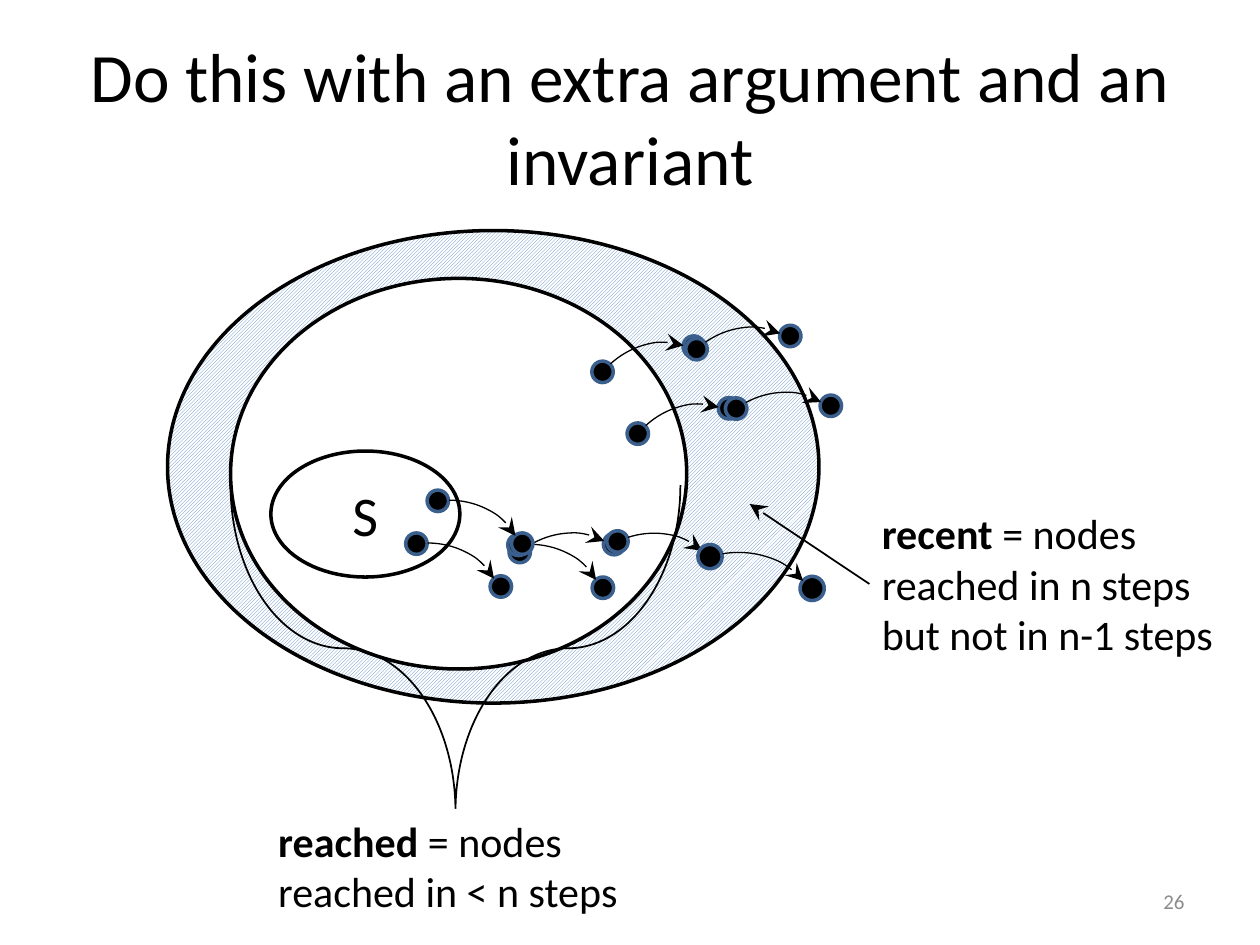
from typing import NamedTuple

from lxml import etree
from pptx import Presentation
from pptx.dml.color import RGBColor
from pptx.enum.dml import MSO_PATTERN
from pptx.enum.shapes import MSO_CONNECTOR, MSO_SHAPE
from pptx.enum.text import MSO_ANCHOR, MSO_AUTO_SIZE, PP_ALIGN
from pptx.oxml.ns import qn
from pptx.util import Inches, Pt

OVAL, ARC, BRACE = MSO_SHAPE.OVAL, MSO_SHAPE.ARC, MSO_SHAPE.RIGHT_BRACE
STRAIGHT = MSO_CONNECTOR.STRAIGHT
HATCH = MSO_PATTERN.LIGHT_UPWARD_DIAGONAL
LEFT, CENTER, RIGHT = PP_ALIGN.LEFT, PP_ALIGN.CENTER, PP_ALIGN.RIGHT
TOP, MIDDLE = MSO_ANCHOR.TOP, MSO_ANCHOR.MIDDLE
GROW = MSO_AUTO_SIZE.SHAPE_TO_FIT_TEXT

FONT = "Calibri"
COLORS = {"ink": "000000", "paper": "FFFFFF", "hatch": "4F81BD", "rim": "3A5F8C", "number": "8C8C8C"}


class Box(NamedTuple):
    left: float
    top: float
    width: float
    height: float


class Step(NamedTuple):
    left: float
    top: float
    angle: float = 0
    scale: float = 1


OUTER_STEPS = [
    Step(4.84, 3.15, 317.6),
    Step(3.85, 4.16, 328.3),
    Step(3.62, 4.24),
    Step(4.54, 4.15, 342),
    Step(4.56, 2.66, 317.6),
    Step(5.27, 2.53, 325.1),
    Step(5.55, 3.04, 331.4),
    Step(5.16, 4.29, 350.4, 1.13),
]
START_STEPS = [Step(2.98, 3.89), Step(2.81, 4.23)]


def color(name: str) -> RGBColor:
    return RGBColor.from_string(COLORS[name])


def add_outline(shapes, kind, box: Box, fill=None, line="ink", weight=2.0):
    shape = shapes.add_shape(kind, *map(Inches, box))
    shape.shadow.inherit = False
    if fill:
        shape.fill.solid()
        shape.fill.fore_color.rgb = color(fill)
    else:
        shape.fill.background()
    shape.line.color.rgb = color(line)
    shape.line.width = Pt(weight)
    return shape


def add_arrowhead(shape) -> None:
    outline = shape._element.spPr.find(qn("a:ln"))
    etree.SubElement(outline, qn("a:tailEnd"), type="stealth", w="lg", len="lg")


def write(shape, *parts: str, size=24.0, ink="ink", align=LEFT, anchor=TOP, bold_first=False):
    frame = shape.text_frame
    frame.word_wrap = True
    frame.vertical_anchor = anchor
    paragraph = frame.paragraphs[0]
    paragraph.alignment = align
    for index, part in enumerate(parts):
        run = paragraph.add_run()
        run.text = part
        run.font.name = FONT
        run.font.size = Pt(size)
        run.font.bold = bold_first and index == 0
        run.font.color.rgb = color(ink)
    return shape


def add_label(shapes, box: Box, *parts: str):
    label = write(shapes.add_textbox(*map(Inches, box)), *parts, bold_first=True)
    label.fill.solid()
    label.fill.fore_color.rgb = color("paper")
    label.text_frame.auto_size = GROW
    return label


def add_step(shapes, step: Step) -> None:
    def place(x: float, y: float, width: float, height: float) -> Box:
        k = step.scale
        return Box(step.left + x * k, step.top + y * k, width * k, height * k)

    group = shapes.add_group_shape()
    for x, y in ((0.41, 0), (1.08, 0.34)):
        add_outline(group.shapes, OVAL, place(x, y, 0.17, 0.17), "ink", "rim")
    hop = add_outline(group.shapes, ARC, place(0, 0.08, 1.17, 1), weight=0.75)
    hop.adjustments[0], hop.adjustments[1] = 162, 202.55
    add_arrowhead(hop)
    group.rotation = step.angle


def main() -> None:
    """Build the slide on reached and recent nodes."""
    deck = Presentation()
    deck.slide_width, deck.slide_height = Inches(10), Inches(7.5)
    shapes = deck.slides.add_slide(deck.slide_layouts[6]).shapes

    recent_set = add_outline(shapes, OVAL, Box(1.33, 1.83, 5.17, 3.75))
    recent_set.fill.patterned()
    recent_set.fill.pattern = HATCH
    recent_set.fill.fore_color.rgb = color("hatch")
    recent_set.fill.back_color.rgb = color("paper")
    add_outline(shapes, OVAL, Box(1.83, 2.21, 3.62, 3.1), "paper")

    title = shapes.add_textbox(*map(Inches, Box(0.5, 0.3, 9, 1.25)))
    write(title, "Do this with an extra argument and an invariant", size=39.6, align=CENTER, anchor=MIDDLE)
    page_number = shapes.add_textbox(*map(Inches, Box(7.17, 6.95, 2.33, 0.4)))
    write(page_number, "26", size=12, ink="number", align=RIGHT, anchor=MIDDLE)

    for step in OUTER_STEPS:
        add_step(shapes, step)
    start_set = add_outline(shapes, OVAL, Box(2.15, 3.58, 1.5, 1), "paper")
    write(start_set, "S", size=32, align=CENTER, anchor=MIDDLE)
    for step in START_STEPS:
        add_step(shapes, step)

    reached_brace = add_outline(shapes, BRACE, Box(2.32, 3.36, 2.59, 3.57), weight=1)
    reached_brace.adjustments[0], reached_brace.adjustments[1] = 0.35, 0.5
    reached_brace.rotation = 90
    add_label(shapes, Box(2.11, 6.42, 3.11, 0.91), "reached", " = nodes reached in < n steps")
    recent_label = add_label(
        shapes, Box(6.9, 3.98, 3.1, 1.31), "recent", " = nodes reached in n steps but not in n-1 steps"
    )

    pointer = shapes.add_connector(STRAIGHT, *map(Inches, (6.9, 4.63, 5.95, 4)))
    pointer.begin_connect(recent_label, 1)
    pointer.line.color.rgb = color("ink")
    pointer.line.width = Pt(1)
    add_arrowhead(pointer)
    etree.SubElement(pointer._element.spPr, qn("a:effectLst"))

    deck.save("out.pptx")


if __name__ == "__main__":
    main()
